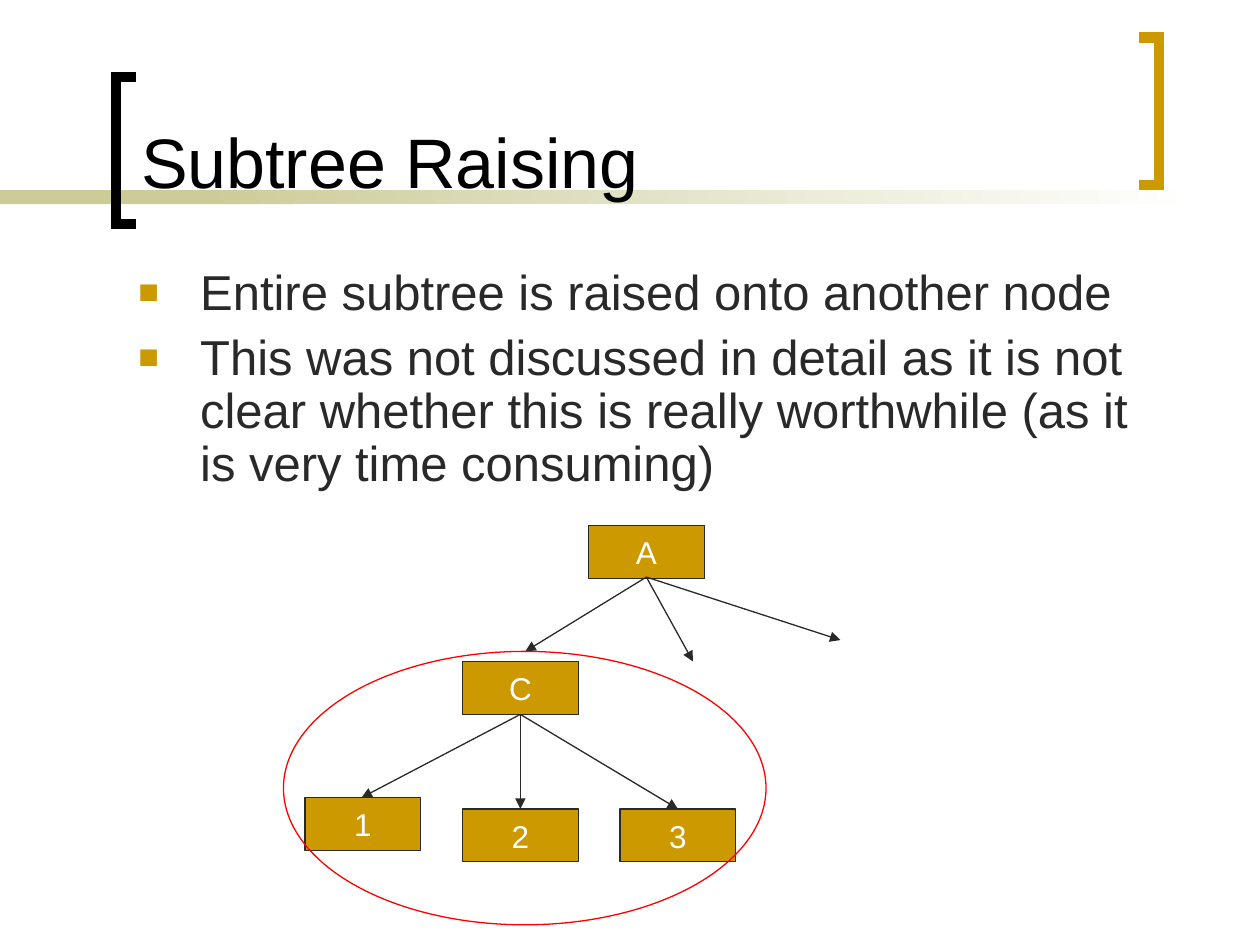
from lxml.etree import SubElement
from pptx import Presentation
from pptx.dml.color import RGBColor
from pptx.enum.shapes import MSO_CONNECTOR as CONNECTOR, MSO_SHAPE as SHAPE
from pptx.enum.text import MSO_ANCHOR as ANCHOR, MSO_AUTO_SIZE as AUTO_SIZE, PP_ALIGN as ALIGN
from pptx.oxml.ns import qn
from pptx.util import Inches, Pt

BLACK = RGBColor(0x00, 0x00, 0x00)
WHITE = RGBColor(0xFF, 0xFF, 0xFF)
INK = RGBColor(0x29, 0x29, 0x29)
GOLD = RGBColor(0xCC, 0x99, 0x00)
OLIVE = RGBColor(0xCC, 0xCC, 0x99)
RED = RGBColor(0xFF, 0x00, 0x00)
FONT = "Arial"
NODE_WIDTH, NODE_HEIGHT = 0.92, 0.42


def add_plain_shape(kind, left, top, width, height):
    shape = slide.shapes.add_shape(kind, Inches(left), Inches(top), Inches(width), Inches(height))
    shape.shadow.inherit = False
    return shape


def set_font(paragraph, size, color):
    paragraph.font.name = FONT
    paragraph.font.size = Pt(size)
    paragraph.font.color.rgb = color


presentation = Presentation()
presentation.slide_width = Inches(10)
presentation.slide_height = Inches(7.5)
slide = presentation.slides.add_slide(presentation.slide_layouts[5])

solid_band = add_plain_shape(SHAPE.RECTANGLE, 0, 1.51, 2.33, 0.11)
solid_band.fill.solid()
solid_band.fill.fore_color.rgb = OLIVE
solid_band.line.fill.background()

fading_band = add_plain_shape(SHAPE.RECTANGLE, 1.58, 1.51, 7.92, 0.11)
fading_band.fill.gradient()
fading_band.fill.gradient_angle = 0
for stop, color in zip(fading_band.fill.gradient_stops, (OLIVE, WHITE)):
    stop.color.rgb = color
fading_band.line.fill.background()

for open_x, spine_x, top, color in [(1.08, 0.92, 0.61, BLACK), (9.04, 9.2, 0.3, GOLD)]:
    bottom = top + 1.17
    builder = slide.shapes.build_freeform(Inches(open_x), Inches(top))
    corners = [(spine_x, top), (spine_x, bottom), (open_x, bottom)]
    builder.add_line_segments([(Inches(x), Inches(y)) for x, y in corners], close=False)
    bracket = builder.convert_to_shape()
    bracket.shadow.inherit = False
    bracket.fill.background()
    bracket.line.color.rgb = color
    bracket.line.width = Pt(6)
    SubElement(bracket.line._get_or_add_ln(), qn("a:miter"), lim="800000")

title = slide.shapes.title
title.left, title.top, title.width, title.height = Inches(1.02), Inches(0.11), Inches(7.83), Inches(1.55)
title.element.getparent().append(title.element)
title.text_frame.text = "Subtree Raising"
title.text_frame.auto_size = AUTO_SIZE.NONE
title.text_frame.vertical_anchor = ANCHOR.BOTTOM
title.text_frame.paragraphs[0].alignment = ALIGN.LEFT
set_font(title.text_frame.paragraphs[0], 40, BLACK)

body = slide.shapes.add_textbox(Inches(1), Inches(2.08), Inches(8.38), Inches(1.92))
body.text_frame.word_wrap = True
body.text_frame.text = (
    "Entire subtree is raised onto another node\n"
    "This was not discussed in detail as it is not clear whether this is really "
    "worthwhile (as it is very time consuming)"
)
for paragraph in body.text_frame.paragraphs:
    set_font(paragraph, 28, INK)
    paragraph.line_spacing = 0.9
    paragraph.space_before = Pt(7)
    properties = paragraph._p.get_or_add_pPr()
    properties.set("marL", str(Inches(0.49)))
    properties.set("indent", str(Inches(-0.49)))
    bullet_color = SubElement(properties, qn("a:buClr"))
    SubElement(bullet_color, qn("a:srgbClr"), val=str(GOLD))
    SubElement(properties, qn("a:buSzPct"), val="70000")
    SubElement(properties, qn("a:buFont"), typeface=FONT)
    SubElement(properties, qn("a:buChar"), char="■")
    properties.append(properties.find(qn("a:defRPr")))

nodes = [("A", 4.67, 4.17), ("C", 3.67, 5.25), ("1", 2.42, 6.33), ("2", 3.67, 6.42), ("3", 4.92, 6.42)]
for label, left, top in nodes:
    node = add_plain_shape(SHAPE.RECTANGLE, left, top, NODE_WIDTH, NODE_HEIGHT)
    node.fill.solid()
    node.fill.fore_color.rgb = GOLD
    node.line.color.rgb = INK
    node.line.width = Pt(0.75)
    node.text_frame.text = label
    node.text_frame.word_wrap = False
    node.text_frame.vertical_anchor = ANCHOR.MIDDLE
    node.text_frame.paragraphs[0].alignment = ALIGN.CENTER
    set_font(node.text_frame.paragraphs[0], 18, WHITE)

branches = [
    ((5.13, 4.58), [(4.17, 5.17), (5.5, 5.25), (6.67, 5.08)]),
    ((4.13, 5.67), [(2.87, 6.33), (4.13, 6.42), (5.38, 6.42)]),
]
for (start_x, start_y), ends in branches:
    for end_x, end_y in ends:
        arrow = slide.shapes.add_connector(
            CONNECTOR.STRAIGHT, Inches(start_x), Inches(start_y), Inches(end_x), Inches(end_y)
        )
        arrow.line.color.rgb = INK
        arrow.line.width = Pt(0.75)
        SubElement(arrow.line._get_or_add_ln(), qn("a:tailEnd"), type="triangle")
        SubElement(arrow.element.spPr, qn("a:effectLst"))

subtree_ring = add_plain_shape(SHAPE.OVAL, 2.25, 5.17, 3.83, 2.17)
subtree_ring.fill.background()
subtree_ring.line.color.rgb = RED
subtree_ring.line.width = Pt(0.75)

presentation.save("out.pptx")
